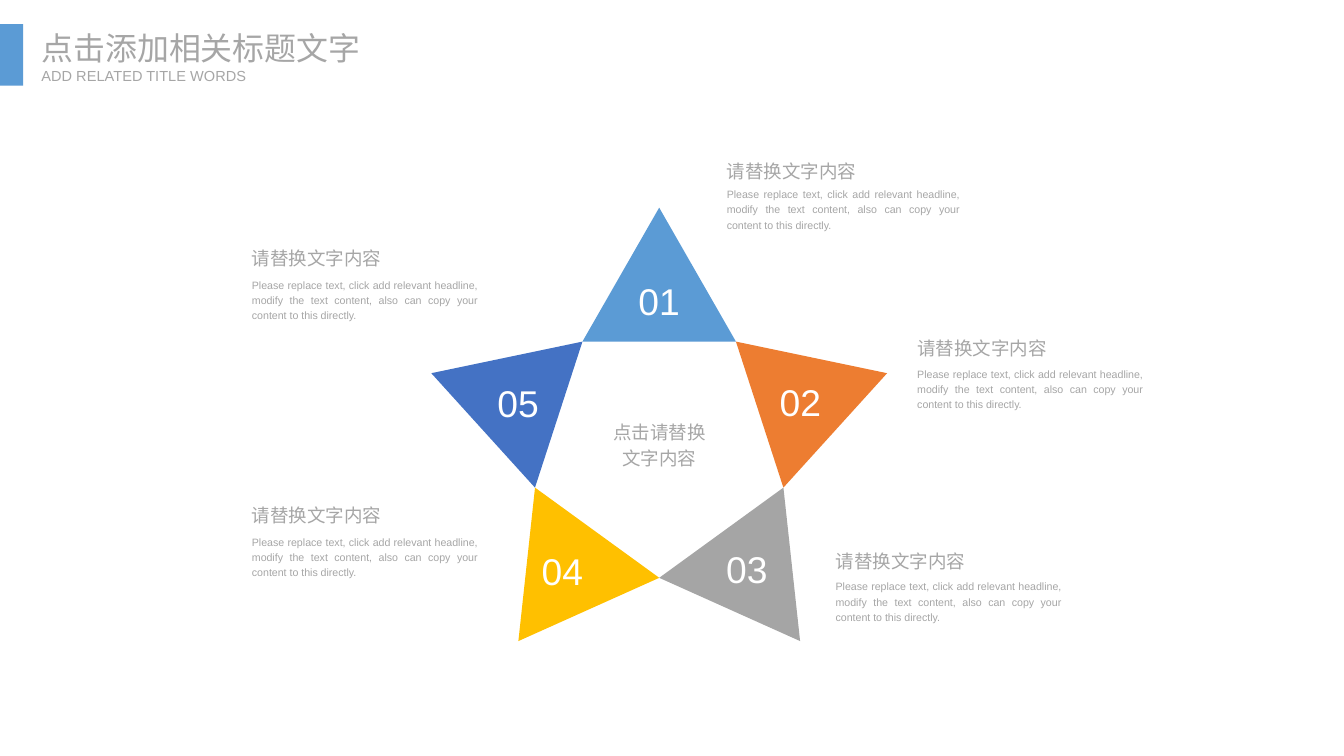
import math

import lxml.etree
import pptx
import pptx.dml.color
import pptx.enum.shapes
import pptx.enum.text
import pptx.oxml.ns
import pptx.util

ALIGN = pptx.enum.text.PP_ALIGN
# The slide is a grid of 100 columns by 100 rows.
SLIDE_WIDTH = pptx.util.Inches(13.33)
SLIDE_HEIGHT = pptx.util.Inches(7.5)

GREY, WHITE, BLUE = "A6A6A6", "FFFFFF", "5B9BD5"
INNER_RADIUS = 0.545  # share of the star's outer radius

# Colour, then the number's left and top within the star's box
STAR_POINTS = [
    (BLUE, 15, 8.13),
    ("ED7D31", 25.5, 21.46),
    ("A5A5A5", 21.53, 43.6),
    ("FFC000", 7.8, 43.86),
    ("4472C4", 4.5, 21.6),
]
# Box of each note, then the rows from its heading to its body
NOTES = [
    ((54.08, 20.53, 17.33, 10.13), 4),
    ((68.25, 44, 16.8, 10.4), 4.27),
    ((62.18, 72.13, 16.8, 10.4), 4.27),
    ((18.75, 66.13, 16.8, 10.53), 4.4),
    ((18.75, 32.13, 16.8, 10.53), 4.4),
]
NOTE_HEADING = "请替换文字内容"
NOTE_BODY = ("Please replace text, click add relevant headline, modify the text "
             "content, also can copy your content to this directly.")


def columns(count):
    return round(SLIDE_WIDTH * count / 100)


def rows(count):
    return round(SLIDE_HEIGHT * count / 100)


def to_lengths(box):
    left, top, width, height = box
    return columns(left), rows(top), columns(width), rows(height)


def color(hex_string):
    return pptx.dml.color.RGBColor.from_string(hex_string)


def paint(shape, fill):
    shape.shadow.inherit = False
    shape.fill.solid()
    shape.fill.fore_color.rgb = color(fill)
    shape.line.fill.background()


def add_text(slide, box, text, size=13.2, font="Arial", fill=GREY,
             align=ALIGN.LEFT, spacing=1.2, wrap=True):
    frame = slide.shapes.add_textbox(*to_lengths(box)).text_frame
    frame.margin_left = frame.margin_right = 0
    frame.margin_top = frame.margin_bottom = 0
    frame.word_wrap = wrap
    frame.auto_size = pptx.enum.text.MSO_AUTO_SIZE.SHAPE_TO_FIT_TEXT
    paragraph = frame.paragraphs[0]
    paragraph.alignment = align
    paragraph.line_spacing = spacing
    run = paragraph.add_run()
    run.text = text
    run.font.size = pptx.util.Pt(size)
    run.font.name = font
    run.font.color.rgb = color(fill)
    east_asian = lxml.etree.SubElement(run.font._element, pptx.oxml.ns.qn("a:ea"))
    east_asian.set("typeface", font)


def add_title(slide, box):
    left, top, width, height = box
    accent = slide.shapes.add_shape(
        pptx.enum.shapes.MSO_SHAPE.RECTANGLE, *to_lengths((left, top, 1.73, height)))
    paint(accent, BLUE)
    text_left = left + 3.08
    add_text(slide, (text_left, top + 0.53, width - 3.08, 5.07), "点击添加相关标题文字",
             size=22.8, font="Noto Sans CJK SC", spacing=1, wrap=False)
    add_text(slide, (text_left, top + 5.6, 15.45, 2.4), "ADD RELATED TITLE WORDS",
             size=10.4, spacing=1, wrap=False)


def add_star(slide, box):
    """Draw five numbered triangles around a caption."""
    left, top, width, height = box
    radius = rows(height) / (1 + math.cos(math.pi / 5))
    center_x, center_y = columns(left + width / 2), rows(top) + radius

    def vertex(step, share=1):
        """Return the corner that lies step tenths of a turn from the top."""
        angle = step * math.pi / 5
        return (round(center_x + share * radius * math.sin(angle)),
                round(center_y - share * radius * math.cos(angle)))

    for index, (fill, _, _) in enumerate(STAR_POINTS):
        step = 2 * index
        builder = slide.shapes.build_freeform(*vertex(step))
        builder.add_line_segments([vertex(step + 1, INNER_RADIUS),
                                   vertex(step - 1, INNER_RADIUS)], close=True)
        paint(builder.convert_to_shape(), fill)

    for number, (_, across, down) in enumerate(STAR_POINTS, start=1):
        add_text(slide, (left + across, top + down, 3.9, 7.2), f"{number:02}",
                 size=26.6, fill=WHITE, align=ALIGN.CENTER)

    caption_width = 8.1
    add_text(slide, (left + (width - caption_width) / 2, top + 27.6, caption_width, 7.2),
             "点击请替换文字内容", align=ALIGN.CENTER)


def add_note(slide, box, body_offset):
    left, top, width, height = box
    add_text(slide, (left, top, 13.8, 3.6), NOTE_HEADING)
    add_text(slide, (left, top + body_offset, width, height - body_offset), NOTE_BODY,
             size=7.6, align=ALIGN.JUSTIFY)


def main():
    presentation = pptx.Presentation()
    presentation.slide_width = SLIDE_WIDTH
    presentation.slide_height = SLIDE_HEIGHT
    slide = presentation.slides.add_slide(presentation.slide_layouts[6])
    add_star(slide, (32.1, 27.47, 33.9, 57.33))
    for box, body_offset in NOTES:
        add_note(slide, box, body_offset)
    add_title(slide, (0, 3.2, 26.86, 8.13))
    presentation.save("out.pptx")


if __name__ == "__main__":
    main()
